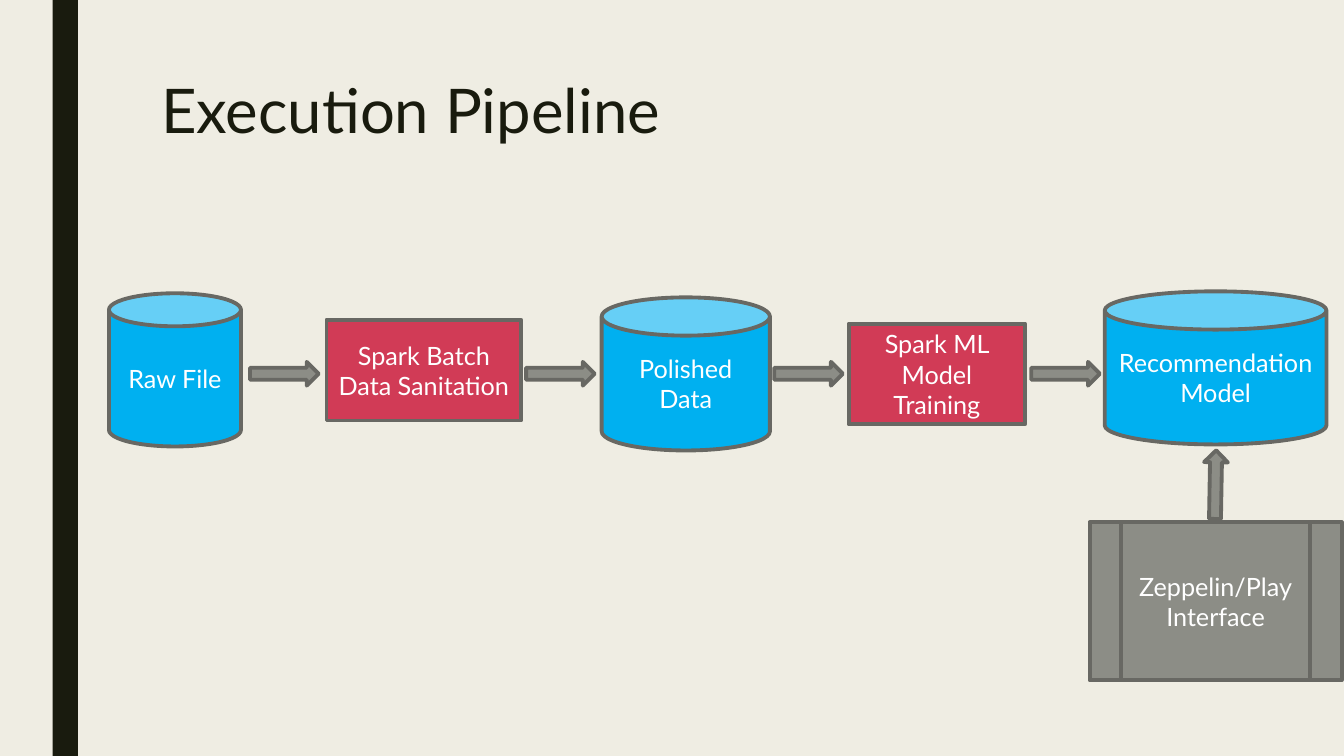
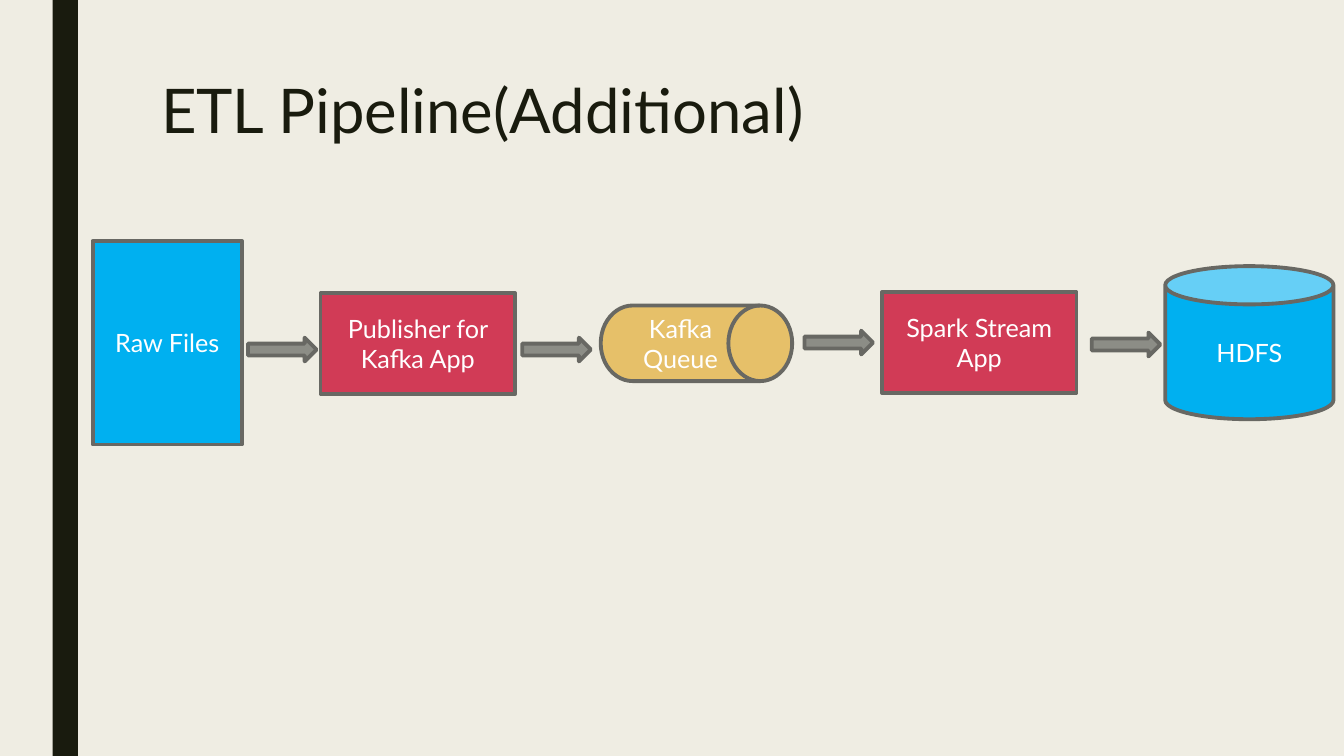
"""Build two slides showing an execution pipeline and an ETL pipeline."""
from pptx import Presentation
from pptx import util as u
from pptx.dml import color
from pptx.enum import shapes, text

COLORS = {
    "background": "EFEDE3",
    "dark": "191B0E",
    "outline": "686863",
    "store": "00B0F0",
    "process": "D13B56",
    "queue": "E6C069",
    "gray": "8C8D86",
    "white": "FFFFFF",
}
KINDS = shapes.MSO_SHAPE
TITLE_FORMAT = {"size": u.Pt(44), "name": "Lato"}
LABEL_FORMAT = {"size": u.Pt(18), "name": "Lato"}
ARROW_SIZE = (49, 17)
CAN_HEIGHT = 109.4
STEP_HEIGHT = 72

SLIDES = [
    {
        "title": "Execution Pipeline",
        "steps": [
            ("Raw File", KINDS.CAN, "store", (77.8, 209.5, 94.3, CAN_HEIGHT)),
            ("Spark Batch Data Sanitation", KINDS.RECTANGLE, "process", (233.3, 228.4, 139, STEP_HEIGHT)),
            ("Polished Data", KINDS.CAN, "store", (429.8, 212.4, 120.2, CAN_HEIGHT)),
            ("Spark ML Model Training", KINDS.RECTANGLE, "process", (606.2, 231.2, 126, STEP_HEIGHT)),
            ("Recommendation\nModel", KINDS.CAN, "store", (789.1, 208.1, 158.4, CAN_HEIGHT)),
            ("Zeppelin/Play\nInterface", KINDS.FLOWCHART_PREDEFINED_PROCESS, "gray", (778.3, 373, 180, 113)),
        ],
        "arrows": [
            (178.6, 258.5, 0), (375.8, 258.5, 0), (553, 258.5, 0),
            (736.6, 258.5, 0), (843.8, 337.7, 271),
        ],
    },
    {
        "title": "ETL Pipeline(Additional)",
        "steps": [
            ("Raw Files", KINDS.RECTANGLE, "store", (66.2, 172.1, 106.6, 145.4)),
            ("Publisher for Kafka App", KINDS.RECTANGLE, "process", (229, 209.5, 139, STEP_HEIGHT)),
            ("Kafka Queue", KINDS.FLOWCHART_MAGNETIC_DISK, "queue", (429.1, 218.2, 136.8, 54)),
            ("Spark Stream App", KINDS.RECTANGLE, "process", (630, 208.8, 139, STEP_HEIGHT)),
            ("HDFS", KINDS.CAN, "store", (832.3, 190.1, 120.2, CAN_HEIGHT)),
        ],
        "arrows": [(177.1, 241.2, 0), (373, 241.2, 0), (574.6, 236.2, 0), (779.8, 237.6, 0)],
    },
]
SLIDES[1]["steps"][2] = ("Kafka Queue", KINDS.FLOWCHART_DIRECT_ACCESS_STORAGE, "queue", (429.1, 218.2, 136.8, 54))


def add_filled(slide, kind, fill, box, outlined=True):
    shape = slide.shapes.add_shape(kind, *map(u.Pt, box))
    shape.shadow.inherit = False
    shape.fill.solid()
    shape.fill.fore_color.rgb = color.RGBColor.from_string(COLORS[fill])
    if outlined:
        shape.line.color.rgb = color.RGBColor.from_string(COLORS["outline"])
        shape.line.width = u.Pt(2.75)
    else:
        shape.line.fill.background()
    return shape


def write(shape, words, font_format, font_color, alignment, anchor, spacing):
    frame = shape.text_frame
    frame.word_wrap = True
    frame.vertical_anchor = anchor
    frame.text = words
    for paragraph in frame.paragraphs:
        paragraph.alignment = alignment
        paragraph.line_spacing = spacing
        for run in paragraph.runs:
            for attribute, value in font_format.items():
                setattr(run.font, attribute, value)
            run.font.color.rgb = color.RGBColor.from_string(COLORS[font_color])


presentation = Presentation()
presentation.slide_width = u.Pt(960)
presentation.slide_height = u.Pt(540)
background = presentation.slide_master.background.fill
background.solid()
background.fore_color.rgb = color.RGBColor.from_string(COLORS["background"])

for content in SLIDES:
    slide = presentation.slides.add_slide(presentation.slide_layouts[6])
    add_filled(slide, KINDS.RECTANGLE, "dark", (37.6, 0, 18, 540), outlined=False)
    title = slide.shapes.add_textbox(*map(u.Pt, (108, 54, 756, 117)))
    write(title, content["title"], TITLE_FORMAT, "dark",
          text.PP_ALIGN.LEFT, text.MSO_ANCHOR.TOP, 0.89)
    for label, kind, fill, box in content["steps"]:
        step = add_filled(slide, kind, fill, box)
        write(step, label, LABEL_FORMAT, "white",
              text.PP_ALIGN.CENTER, text.MSO_ANCHOR.MIDDLE, 1.0)
    for left, top, rotation in content["arrows"]:
        arrow = add_filled(slide, KINDS.RIGHT_ARROW, "gray", (left, top, *ARROW_SIZE))
        arrow.rotation = rotation

presentation.save("out.pptx")
